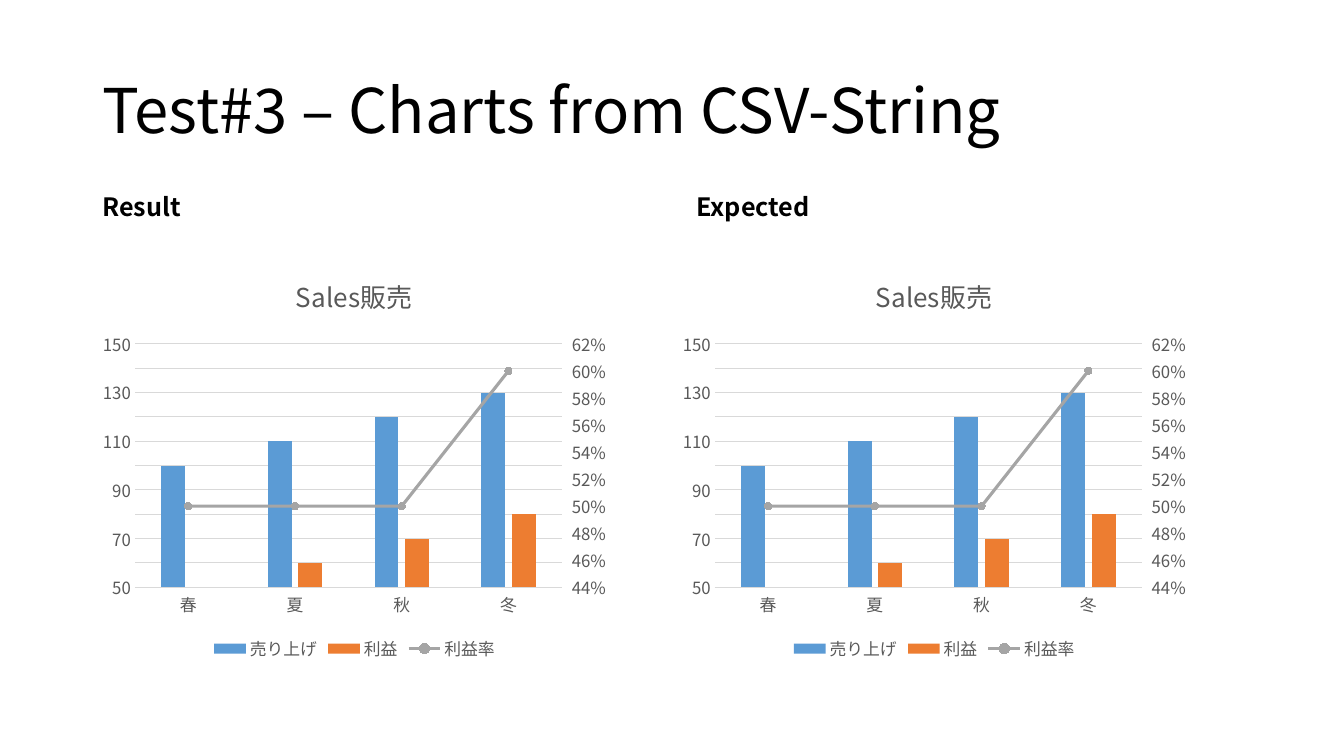
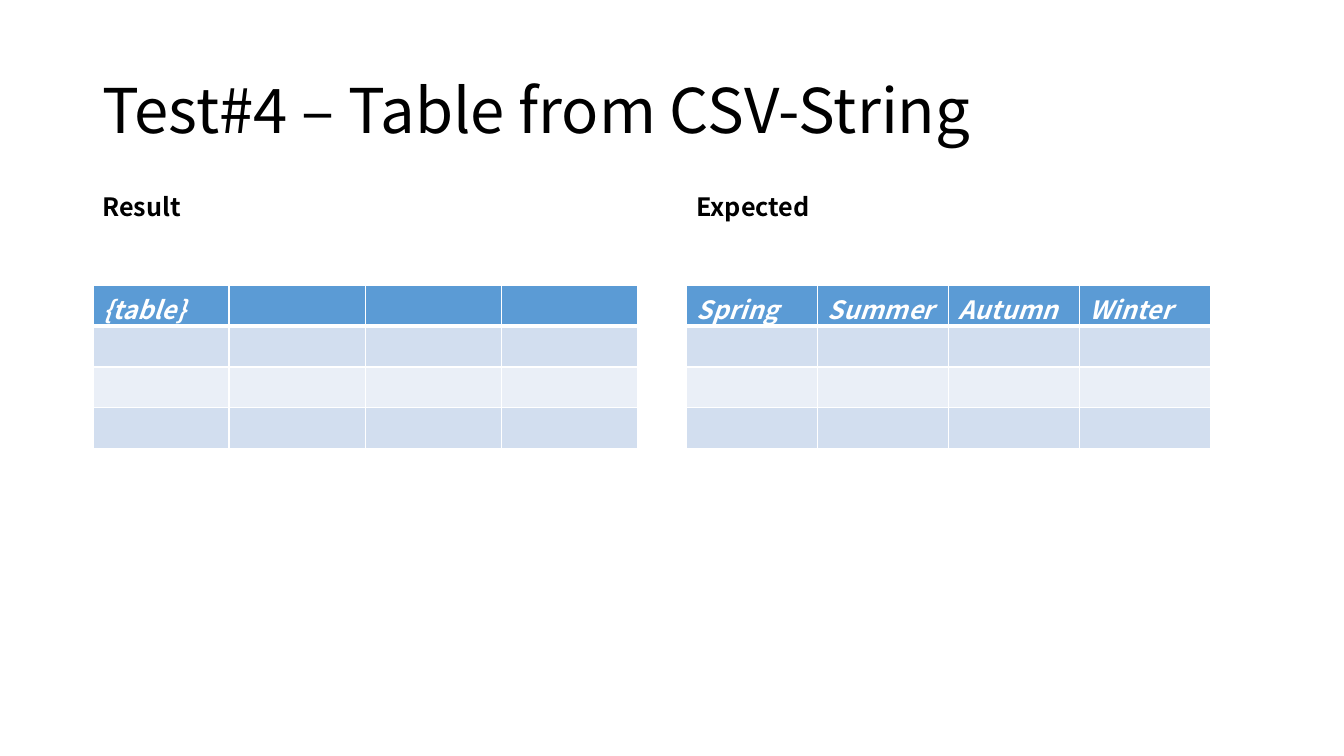
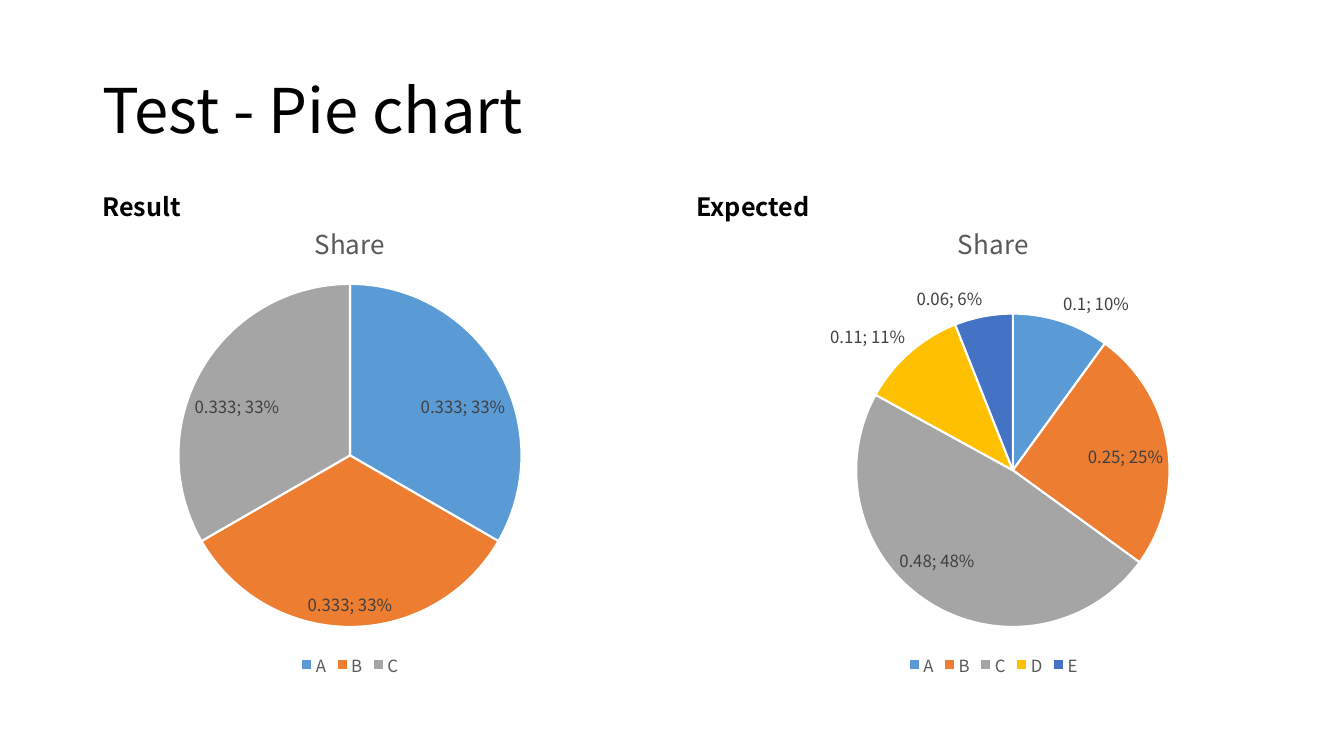
"""Build three slides that set results beside expected charts and tables."""
import copy
from dataclasses import dataclass

import pptx
import pptx.chart.axis
import pptx.chart.data
import pptx.dml.color
import pptx.enum.chart
import pptx.enum.text
import pptx.oxml
import pptx.oxml.ns
import pptx.util

Pt = pptx.util.Pt
qn = pptx.oxml.ns.qn


@dataclass(frozen=True)
class Theme:
    font: str = "Noto Sans CJK JP"
    black: str = "000000"
    white: str = "FFFFFF"
    axis_text: str = "595959"
    label_text: str = "404040"
    grid: str = "D9D9D9"
    bands: tuple[str, ...] = ("D2DEEF", "EAEFF7")
    accents: tuple[str, ...] = ("5B9BD5", "ED7D31", "A5A5A5", "FFC000", "4472C4")
    title_size: float = 44
    chart_title_size: float = 18.6
    body_size: float = 18
    label_size: float = 12
    chart_size: float = 10


@dataclass(frozen=True)
class Box:
    left: float
    top: float
    width: float
    height: float

    def lengths(self) -> tuple:
        return Pt(self.left), Pt(self.top), Pt(self.width), Pt(self.height)


@dataclass(frozen=True)
class Heading:
    text: str
    box: Box


@dataclass(frozen=True)
class TableBlock:
    header: tuple[str, ...]
    box: Box


@dataclass(frozen=True)
class PieBlock:
    values: tuple[float, ...]
    box: Box


THEME = Theme()
TITLE_BOX = Box(66, 28.75, 828, 104.4)
HEADINGS = (
    Heading("Expected", Box(490.4, 133.2, 96.5, 29.1)),
    Heading("Result", Box(66, 133.2, 71.3, 29.1)),
)
SEASONS = ("春", "夏", "秋", "冬")
SALES = (
    ("売り上げ", (100, 110, 120, 130)),
    ("利益", (50, 60, 70, 80)),
    ("利益率", (0.5, 0.5, 0.5, 0.6)),
)
SALES_BOXES = (Box(66, 182.9, 374.4, 292.3), Box(480.2, 182.9, 374.4, 292.3))
TABLE_ROWS = 4
TABLES = (
    TableBlock(("{table}", "", "", ""), Box(66.4, 203.7, 388.8, 116.8)),
    TableBlock(("Spring", "Summer", "Autumn", "Winter"), Box(490.4, 203.7, 374.4, 116.8)),
)
PIES = (
    PieBlock((0.333, 0.333, 0.333), Box(66, 144, 368, 342.7)),
    PieBlock((0.1, 0.25, 0.48, 0.11, 0.06), Box(525.6, 144, 368, 342.7)),
)


def rgb(color: str) -> pptx.dml.color.RGBColor:
    return pptx.dml.color.RGBColor.from_string(color)


def set_font(font, size: float, color: str, bold: bool = False, italic: bool = False) -> None:
    font.name = THEME.font
    font.size = Pt(size)
    font.bold = bold
    font.italic = italic
    font.color.rgb = rgb(color)


def set_fill(fill, color: str) -> None:
    fill.solid()
    fill.fore_color.rgb = rgb(color)


def set_line(line, color: str, width: float) -> None:
    set_fill(line.fill, color)
    line.width = Pt(width)


def add_text(page, text: str, box: Box, size: float, bold: bool = False):
    frame = page.shapes.add_textbox(*box.lengths()).text_frame
    para = frame.paragraphs[0]
    para.text = text
    set_font(para.font, size, THEME.black, bold)
    return frame


def add_page(deck, title: str):
    page = deck.slides.add_slide(deck.slide_layouts[6])
    set_fill(page.background.fill, THEME.white)
    frame = add_text(page, title, TITLE_BOX, THEME.title_size)
    frame.word_wrap = True
    frame.vertical_anchor = pptx.enum.text.MSO_ANCHOR.MIDDLE
    frame.paragraphs[0].line_spacing = 0.9
    for heading in HEADINGS:
        frame = add_text(page, heading.text, heading.box, THEME.body_size, True)
        frame.word_wrap = False
        frame.auto_size = pptx.enum.text.MSO_AUTO_SIZE.SHAPE_TO_FIT_TEXT
    return page


def add_chart(page, kind, box: Box, data, title: str):
    chart = page.shapes.add_chart(kind, *box.lengths(), data).chart
    set_font(chart.font, THEME.chart_size, THEME.black)
    chart.has_title = True
    para = chart.chart_title.text_frame.paragraphs[0]
    para.text = title
    set_font(para.font, THEME.chart_title_size, THEME.axis_text)
    chart.has_legend = True
    chart.legend.position = pptx.enum.chart.XL_LEGEND_POSITION.BOTTOM
    chart.legend.include_in_layout = False
    set_font(chart.legend.font, THEME.label_size, THEME.axis_text)
    return chart


def set_east_asian_font(chart) -> None:
    for latin in list(chart.element.iter(qn("a:latin"))):
        east_asian = pptx.oxml.parse_xml(
            f'<a:ea {pptx.oxml.ns.nsdecls("a")} typeface="{THEME.font}"/>'
        )
        latin.addnext(east_asian)


def move_last_series_to_right_axis(chart) -> None:
    bar_element = next(chart.element.iter(qn("c:barChart")))
    line_series = bar_element.findall(qn("c:ser"))[-1]
    for invert in line_series.findall(qn("c:invertIfNegative")):
        line_series.remove(invert)
    line_element = pptx.oxml.parse_xml(
        f'<c:lineChart {pptx.oxml.ns.nsdecls("c")}><c:grouping val="standard"/>'
        '<c:varyColors val="0"/><c:marker val="1"/>'
        '<c:axId val="1001"/><c:axId val="1002"/></c:lineChart>'
    )
    line_element.insert(2, line_series)
    bar_element.addnext(line_element)

    left = next(chart.element.iter(qn("c:valAx")))
    right = copy.deepcopy(left)
    hidden = copy.deepcopy(next(chart.element.iter(qn("c:catAx"))))
    for element, own, other in ((hidden, "1001", "1002"), (right, "1002", "1001")):
        element.find(qn("c:axId")).set("val", own)
        element.find(qn("c:crossAx")).set("val", other)
    right.find(qn("c:axPos")).set("val", "r")
    right.find(qn("c:crosses")).set("val", "max")
    left.addnext(right)
    right.addnext(hidden)

    right_axis = pptx.chart.axis.ValueAxis(right)
    right_axis.has_major_gridlines = False
    right_axis.minimum_scale = None
    right_axis.maximum_scale = None
    right_axis.major_tick_mark = pptx.enum.chart.XL_TICK_MARK.OUTSIDE
    right_axis.tick_labels.number_format = "0%"
    right_axis.tick_labels.number_format_is_linked = False
    pptx.chart.axis.CategoryAxis(hidden).visible = False


def add_sales_chart(page, box: Box) -> None:
    data = pptx.chart.data.CategoryChartData()
    data.categories = SEASONS
    for name, values in SALES:
        data.add_series(name, values)
    kind = pptx.enum.chart.XL_CHART_TYPE.COLUMN_CLUSTERED
    chart = add_chart(page, kind, box, data, "Sales販売")
    for axis in (chart.category_axis, chart.value_axis):
        axis.major_tick_mark = pptx.enum.chart.XL_TICK_MARK.NONE
        axis.minor_tick_mark = pptx.enum.chart.XL_TICK_MARK.NONE
        set_font(axis.tick_labels.font, THEME.label_size, THEME.axis_text)
    set_line(chart.category_axis.format.line, THEME.grid, 0.75)
    chart.value_axis.format.line.fill.background()
    chart.value_axis.minimum_scale = 50
    chart.value_axis.maximum_scale = 150
    set_line(chart.value_axis.major_gridlines.format.line, THEME.grid, 0.75)

    move_last_series_to_right_axis(chart)
    columns, rates = chart.plots
    columns.vary_by_categories = False
    columns.gap_width = 219
    columns.overlap = -27
    for series, color in zip(columns.series, THEME.accents):
        set_fill(series.format.fill, color)
    rate = rates.series[0]
    rate_color = THEME.accents[2]
    rate.smooth = False
    set_line(rate.format.line, rate_color, 2.25)
    rate.marker.style = pptx.enum.chart.XL_MARKER_STYLE.CIRCLE
    rate.marker.size = 5
    set_fill(rate.marker.format.fill, rate_color)
    set_line(rate.marker.format.line, rate_color, 0.75)
    set_east_asian_font(chart)


def add_pie(page, block: PieBlock) -> None:
    data = pptx.chart.data.CategoryChartData()
    data.categories = "ABCDE"[:len(block.values)]
    data.add_series("Series 1", block.values)
    chart = add_chart(page, pptx.enum.chart.XL_CHART_TYPE.PIE, block.box, data, "Share")
    chart.plots[0].vary_by_categories = True
    series = chart.plots[0].series[0]
    for index, color in enumerate(THEME.accents[:len(block.values)]):
        point = series.points[index]
        set_fill(point.format.fill, color)
        set_line(point.format.line, THEME.white, 1.5)
    labels = series.data_labels
    labels.show_value = True
    labels.show_percentage = True
    labels.position = pptx.enum.chart.XL_LABEL_POSITION.BEST_FIT
    set_font(labels.font, THEME.label_size, THEME.label_text)
    separator = pptx.oxml.parse_xml(
        f'<c:separator {pptx.oxml.ns.nsdecls("c")}>; </c:separator>'
    )
    series_labels = next(chart.element.iter(qn("c:ser"))).find(qn("c:dLbls"))
    series_labels.find(qn("c:showBubbleSize")).addnext(separator)
    set_east_asian_font(chart)


def set_borders(cell, widths: dict[str, float]) -> None:
    properties = cell._tc.get_or_add_tcPr()
    for index, (side, width) in enumerate(widths.items()):
        border = pptx.oxml.parse_xml(
            f'<a:ln{side} {pptx.oxml.ns.nsdecls("a")} w="{Pt(width)}"><a:solidFill>'
            f'<a:srgbClr val="{THEME.white}"/></a:solidFill></a:ln{side}>'
        )
        properties.insert(index, border)


def add_table(page, block: TableBlock) -> None:
    columns = len(block.header)
    table = page.shapes.add_table(TABLE_ROWS, columns, *block.box.lengths()).table
    for column in table.columns:
        column.width = Pt(block.box.width / columns)
    for row_index, row in enumerate(table.rows):
        row.height = Pt(block.box.height / TABLE_ROWS)
        is_header = row_index == 0
        color = THEME.accents[0] if is_header else THEME.bands[(row_index - 1) % 2]
        for column_index, cell in enumerate(row.cells):
            set_fill(cell.fill, color)
            top = 3 if row_index == 1 else 1
            bottom = 3 if is_header else 1
            set_borders(cell, {"L": 1, "R": 1, "T": top, "B": bottom})
            if is_header and block.header[column_index]:
                para = cell.text_frame.paragraphs[0]
                para.text = block.header[column_index]
                set_font(para.font, THEME.body_size, THEME.white, True, True)


def main() -> None:
    deck = pptx.Presentation()
    deck.slide_width, deck.slide_height = Pt(960), Pt(540)
    page = add_page(deck, "Test#3 – Charts from CSV-String")
    for box in SALES_BOXES:
        add_sales_chart(page, box)
    page = add_page(deck, "Test#4 – Table from CSV-String")
    for table in TABLES:
        add_table(page, table)
    page = add_page(deck, "Test - Pie chart")
    for pie in PIES:
        add_pie(page, pie)
    deck.save("out.pptx")


if __name__ == "__main__":
    main()
